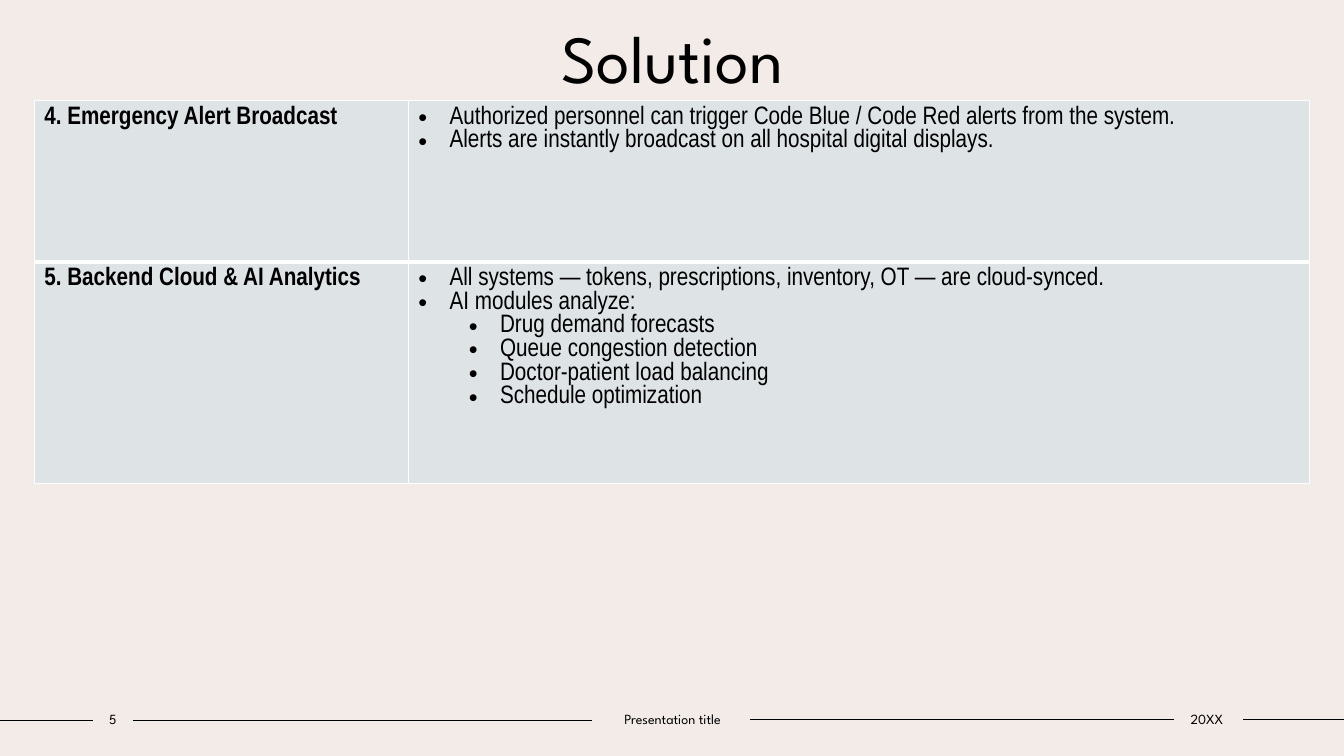
from lxml import etree
from pptx import Presentation
from pptx.dml.color import RGBColor
from pptx.enum.shapes import MSO_CONNECTOR
from pptx.enum.text import MSO_ANCHOR as ANCHOR, PP_ALIGN as ALIGN
from pptx.oxml.ns import qn
from pptx.util import Inches, Pt

BLACK, WHITE, CELL, BACKGROUND = "000000", "FFFFFF", "DEE3E6", "F3EBE8"
HEADING_FONT, BODY_FONT = "League Spartan", "Arial Narrow"

# Each row: heading, then (level, text) points
SOLUTIONS = [
    ("4. Emergency Alert Broadcast", [
        (0, "Authorized personnel can trigger Code Blue / Code Red alerts from the system."),
        (0, "Alerts are instantly broadcast on all hospital digital displays."),
    ]),
    ("5. Backend Cloud & AI Analytics", [
        (0, "All systems — tokens, prescriptions, inventory, OT — are cloud-synced."),
        (0, "AI modules analyze:"),
        (1, "Drug demand forecasts"),
        (1, "Queue congestion detection"),
        (1, "Doctor-patient load balancing"),
        (1, "Schedule optimization"),
    ]),
]


def rgb(color):
    return RGBColor.from_string(color)


def set_font(p, name, size, bold=False):
    p.font.name, p.font.size, p.font.bold = name, Pt(size), bold
    p.font.color.rgb = rgb(BLACK)


def add_bullet(p, level):
    p.level = level
    pPr = p._p.get_or_add_pPr()
    pPr.set("marL", str(Inches(0.31 + 0.5 * level)))
    pPr.set("indent", str(Inches(-0.31)))
    bullet_font = etree.Element(qn("a:buFont"), typeface="Arial")
    bullet = etree.Element(qn("a:buChar"), char="•")
    # Bullet elements come before the default run properties
    pPr.insert(0, bullet_font)
    pPr.insert(1, bullet)


def set_borders(cell, widths):
    """Draw white borders; widths are points for left, right, top, bottom."""
    tcPr = cell._tc.get_or_add_tcPr()
    for i, (side, width) in enumerate(zip("LRTB", widths)):
        ln = etree.Element(qn(f"a:ln{side}"), w=str(Pt(width)))
        fill = etree.SubElement(ln, qn("a:solidFill"))
        etree.SubElement(fill, qn("a:srgbClr"), val=WHITE)
        tcPr.insert(i, ln)


def place_title(slide, left, top, width, height):
    title = slide.shapes.title
    title.left, title.top = Inches(left), Inches(top)
    title.width, title.height = Inches(width), Inches(height)
    tf = title.text_frame
    tf.text = "Solution"
    tf.vertical_anchor = ANCHOR.MIDDLE
    p = tf.paragraphs[0]
    p.alignment = ALIGN.CENTER
    set_font(p, HEADING_FONT, 48)


def fill_cell(cell, points, bold=False, bulleted=False):
    cell.fill.solid()
    cell.fill.fore_color.rgb = rgb(CELL)
    tf = cell.text_frame
    for i, (level, text) in enumerate(points):
        p = tf.paragraphs[0] if i == 0 else tf.add_paragraph()
        p.text = text
        set_font(p, BODY_FONT, 18, bold)
        if bulleted:
            add_bullet(p, level)


def add_solution_table(slide, left, top, col_widths, row_heights):
    frame = slide.shapes.add_table(
        len(row_heights), len(col_widths), Inches(left), Inches(top),
        Inches(sum(col_widths)), Inches(sum(row_heights)))
    table = frame.table
    table.first_row = table.horz_banding = False
    for column, width in zip(table.columns, col_widths):
        column.width = Inches(width)
    for r, (height, (heading, points)) in enumerate(zip(row_heights, SOLUTIONS)):
        table.rows[r].height = Inches(height)
        fill_cell(table.cell(r, 0), [(0, heading)], bold=True)
        fill_cell(table.cell(r, 1), points, bulleted=True)
        top_width, bottom_width = (1, 3) if r == 0 else (3, 1)
        for c in range(len(col_widths)):
            set_borders(table.cell(r, c), (1, 1, top_width, bottom_width))


def add_rule(slide, x1, x2, y):
    line = slide.shapes.add_connector(
        MSO_CONNECTOR.STRAIGHT, Inches(x1), Inches(y), Inches(x2), Inches(y))
    line.line.color.rgb = rgb(BLACK)
    line.line.width = Pt(1)
    etree.SubElement(line._element.spPr, qn("a:effectLst"))


def add_footer(slide, top, height):
    middle = top + height / 2
    for x1, x2, drop in ((0, 0.92, 0.015), (1.32, 5.87, 0.015),
                         (7.44, 11.64, 0.005), (12.33, 13.33, 0.005)):
        add_rule(slide, x1, x2, middle + drop)
    for text, left, width in (("5", 0.92, 0.4), ("Presentation title", 5.87, 1.6),
                              ("20XX", 11.62, 0.7)):
        box = slide.shapes.add_textbox(
            Inches(left), Inches(top), Inches(width), Inches(height))
        tf = box.text_frame
        tf.word_wrap = True
        tf.margin_left = tf.margin_right = 0
        tf.vertical_anchor = ANCHOR.MIDDLE
        p = tf.paragraphs[0]
        p.text = text
        p.alignment = ALIGN.CENTER
        set_font(p, HEADING_FONT, 10)


def main():
    prs = Presentation()
    prs.slide_width, prs.slide_height = Inches(13.33), Inches(7.5)
    slide = prs.slides.add_slide(prs.slide_layouts.get_by_name("Title Only"))
    slide.background.fill.solid()
    slide.background.fill.fore_color.rgb = rgb(BACKGROUND)
    place_title(slide, 1.25, 0.01, 10.84, 1.11)
    add_solution_table(slide, 0.34, 1, (3.71, 8.94), (1.6, 2.2))
    add_footer(slide, 7, 0.27)
    prs.save("out.pptx")


if __name__ == "__main__":
    main()
